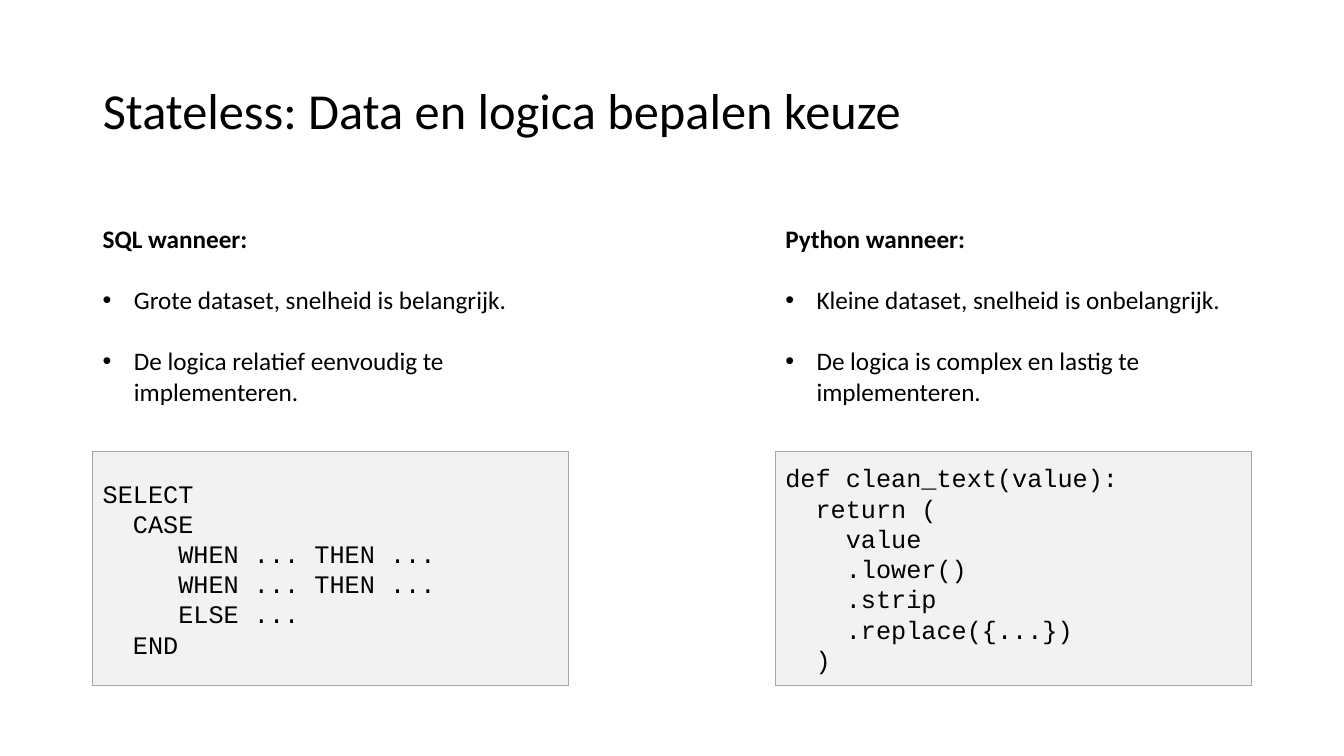
from lxml.etree import SubElement
from pptx import Presentation
from pptx.dml.color import RGBColor as Rgb
from pptx.enum.shapes import MSO_SHAPE as Preset
from pptx.enum.text import MSO_ANCHOR as Anchor, MSO_AUTO_SIZE as AutoSize, PP_ALIGN as Align
from pptx.oxml.ns import qn
from pptx.util import Inches, Pt

COLOURS = {"text": "000000", "code_fill": "F2F2F2", "code_line": "A5A5A5"}
MARGIN, COLUMN_STEP, COLUMN_WIDTH = 0.92, 6.77, 4.72
ROWS = {"title": (0.4, 1.45), "advice": (2.17, 2.22), "code": (4.48, 2.32)}
INDENT = Inches(0.31)

TITLE_FONT = {"name": "Calibri", "size": Pt(36), "bold": False}
HEADING_FONT = {"name": "Calibri", "size": Pt(18), "bold": True}
BULLET_FONT = HEADING_FONT | {"bold": False}
CODE_FONT = {"name": "Courier New", "size": Pt(18), "bold": False}
TITLE_FRAME = {"word_wrap": True, "auto_size": AutoSize.NONE, "vertical_anchor": Anchor.MIDDLE}
CODE_FRAME = TITLE_FRAME
ADVICE_FRAME = {"word_wrap": True, "auto_size": AutoSize.SHAPE_TO_FIT_TEXT, "vertical_anchor": Anchor.TOP}
TITLE_PARA = {"alignment": Align.LEFT, "line_spacing": 0.9}
PLAIN_PARA = {"alignment": Align.LEFT}
BULLET_PARA = {"alignment": Align.LEFT, "space_before": Pt(22)}

SQL_CODE = """SELECT
  CASE
     WHEN ... THEN ...
     WHEN ... THEN ...
     ELSE ...
  END"""
PYTHON_CODE = """def clean_text(value):
  return (
    value
    .lower()
    .strip
    .replace({...})
  )"""
COLUMNS = [
    ("SQL wanneer:",
     ["Grote dataset, snelheid is belangrijk.", "De logica relatief eenvoudig te implementeren."],
     SQL_CODE),
    ("Python wanneer:",
     ["Kleine dataset, snelheid is onbelangrijk.", "De logica is complex en lastig te implementeren."],
     PYTHON_CODE),
]


def apply(target, values):
    """Set every attribute in values on target."""
    for name, value in values.items():
        setattr(target, name, value)


def area(row, column=0, width=COLUMN_WIDTH):
    """Return left, top, width and height of a grid cell."""
    top, height = ROWS[row]
    return [Inches(n) for n in (MARGIN + column * COLUMN_STEP, top, width, height)]


def write(para, text, font, para_format):
    """Fill a paragraph with one formatted span."""
    apply(para, para_format)
    span = para.add_run()
    span.text = text
    apply(span.font, font)
    span.font.color.rgb = Rgb.from_string(COLOURS["text"])


def add_bullet(para):
    """Give a paragraph a round bullet and a hanging indent."""
    properties = para._p.get_or_add_pPr()
    properties.set("marL", str(INDENT))
    properties.set("indent", str(-INDENT))
    SubElement(properties, qn("a:buFont"), typeface="Arial")
    SubElement(properties, qn("a:buChar"), char="•")


def add_title(page, text):
    """Place and fill the title placeholder."""
    title = page.shapes.title
    apply(title, dict(zip(("left", "top", "width", "height"), area("title", width=11.5))))
    apply(title.text_frame, TITLE_FRAME)
    write(title.text_frame.paragraphs[0], text, TITLE_FONT, TITLE_PARA)


def add_advice(page, column, heading, points):
    """Add a bold heading with bullet points under it."""
    frame = page.shapes.add_textbox(*area("advice", column)).text_frame
    apply(frame, ADVICE_FRAME)
    write(frame.paragraphs[0], heading, HEADING_FONT, PLAIN_PARA)
    for point in points:
        para = frame.add_paragraph()
        add_bullet(para)
        write(para, point, BULLET_FONT, BULLET_PARA)


def add_code(page, column, code):
    """Add a framed box with one paragraph per line of code."""
    box = page.shapes.add_shape(Preset.RECTANGLE, *area("code", column))
    box.shadow.inherit = False
    box.fill.solid()
    box.fill.fore_color.rgb = Rgb.from_string(COLOURS["code_fill"])
    box.line.color.rgb = Rgb.from_string(COLOURS["code_line"])
    box.line.width = Pt(0.5)
    frame = box.text_frame
    apply(frame, CODE_FRAME)
    for number, line in enumerate(code.split("\n")):
        para = frame.add_paragraph() if number else frame.paragraphs[0]
        write(para, line, CODE_FONT, PLAIN_PARA)


def main():
    """Build the slide and save the deck."""
    deck = Presentation()
    apply(deck, {"slide_width": Inches(13.33), "slide_height": Inches(7.5)})
    page = deck.slides.add_slide(deck.slide_layouts.get_by_name("Title Only"))
    add_title(page, "Stateless: Data en logica bepalen keuze")
    for column, (heading, points, code) in enumerate(COLUMNS):
        add_code(page, column, code)
        add_advice(page, column, heading, points)
    deck.save("out.pptx")


if __name__ == "__main__":
    main()
